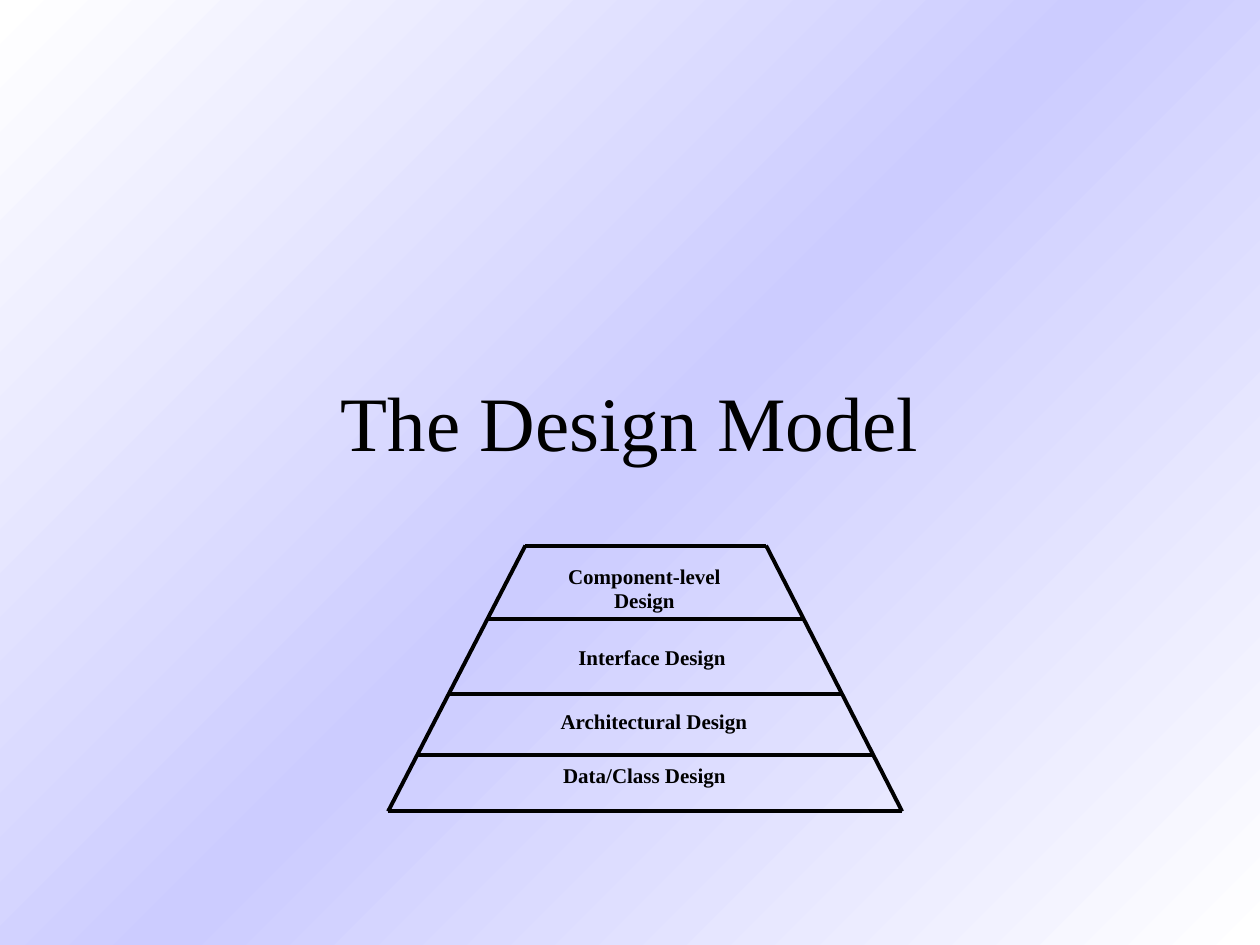
from copy import deepcopy

from pptx import Presentation
from pptx.dml.color import RGBColor
from pptx.enum.shapes import MSO_CONNECTOR
from pptx.enum.text import MSO_ANCHOR, PP_ALIGN
from pptx.oxml.ns import qn
from pptx.util import Inches, Pt

STRAIGHT = MSO_CONNECTOR.STRAIGHT
TOP, MIDDLE = MSO_ANCHOR.TOP, MSO_ANCHOR.MIDDLE
CENTER = PP_ALIGN.CENTER

COLUMNS, ROWS = 10, 7.5  # grid of one-inch cells


def color(hex_text):
    """Turn a hex string into a colour."""
    return RGBColor.from_string(hex_text)


class Slide:
    """Holds the style and the current slide."""

    font = "Times New Roman"
    ink = "000000"
    line_width = 2.24

    def __init__(self, deck):
        """Add a blank page to the deck."""
        self.page = deck.slides.add_slide(deck.slide_layouts[6])
        self.shapes = self.page.shapes

    def background(self, edge, middle, angle):
        """Fill the page with a gradient that is symmetric about its middle."""
        fill = self.page.background.fill
        fill.gradient()
        fill.gradient_angle = angle
        for stop, shade, position in zip(fill.gradient_stops, (edge, middle), (0, 0.5)):
            stop.color.rgb = color(shade)
            stop.position = position
        stops = self.page.element.find(".//" + qn("a:gsLst"))
        last = deepcopy(stops[0])
        last.set("pos", "100000")
        stops.append(last)

    def group(self):
        """Put the elements that follow into one group."""
        self.shapes = self.page.shapes.add_group_shape().shapes

    def text(self, words, left, top, width, height, size, bold=False, anchor=TOP, wrap=False):
        """Add a centred text box."""
        box = self.shapes.add_textbox(*map(Inches, (left, top, width, height)))
        frame = box.text_frame
        frame.word_wrap = wrap
        frame.vertical_anchor = anchor
        para = frame.paragraphs[0]
        para.alignment = CENTER
        para.line_spacing = 0.95
        span = para.add_run()
        span.text = words
        span.font.name = self.font
        span.font.size = Pt(size)
        span.font.bold = bold
        span.font.color.rgb = color(self.ink)

    def line(self, start, end):
        """Add a straight line between two points."""
        line = self.shapes.add_connector(STRAIGHT, *map(Inches, (*start, *end)))
        line.line.color.rgb = color(self.ink)
        line.line.width = Pt(self.line_width)
        properties = line._element.spPr
        properties.append(properties.makeelement(qn("a:effectLst"), {}))


def pyramid(slide):
    """Draw the cut pyramid with its layers and their labels."""
    top, bottom = 4.33, 6.44
    top_left, top_right = 4.17, 6.08
    bottom_left, bottom_right = 3.08, 7.16
    labels = [
        ("Component-level Design", 4.15, 4.44, 1.93),
        ("Interface Design", 4.49, 5.08, 1.37),
        ("Architectural Design", 4.35, 5.59, 1.68),
        ("Data/Class Design", 4.37, 6.02, 1.49),
    ]
    slide.group()
    for words, left, row, width in labels:
        slide.text(words, left, row, width, 0.49, 12, bold=True)
    slide.line((top_left, top), (bottom_left, bottom))
    slide.line((top_right, top), (bottom_right, bottom))
    for row in (top, 4.91, 5.51, 5.99, bottom):
        share = (row - top) / (bottom - top)
        left = top_left + share * (bottom_left - top_left)
        right = top_right + share * (bottom_right - top_right)
        slide.line((left, row), (right, row))


def main():
    """Build the deck and save it."""
    deck = Presentation()
    deck.slide_width, deck.slide_height = Inches(COLUMNS), Inches(ROWS)
    slide = Slide(deck)
    slide.background("FFFFFF", "CCCCFF", 135)
    slide.text("The Design Model", 0.75, 2.75, 8.5, 1.25, 44, anchor=MIDDLE, wrap=True)
    pyramid(slide)
    deck.save("out.pptx")


main()
